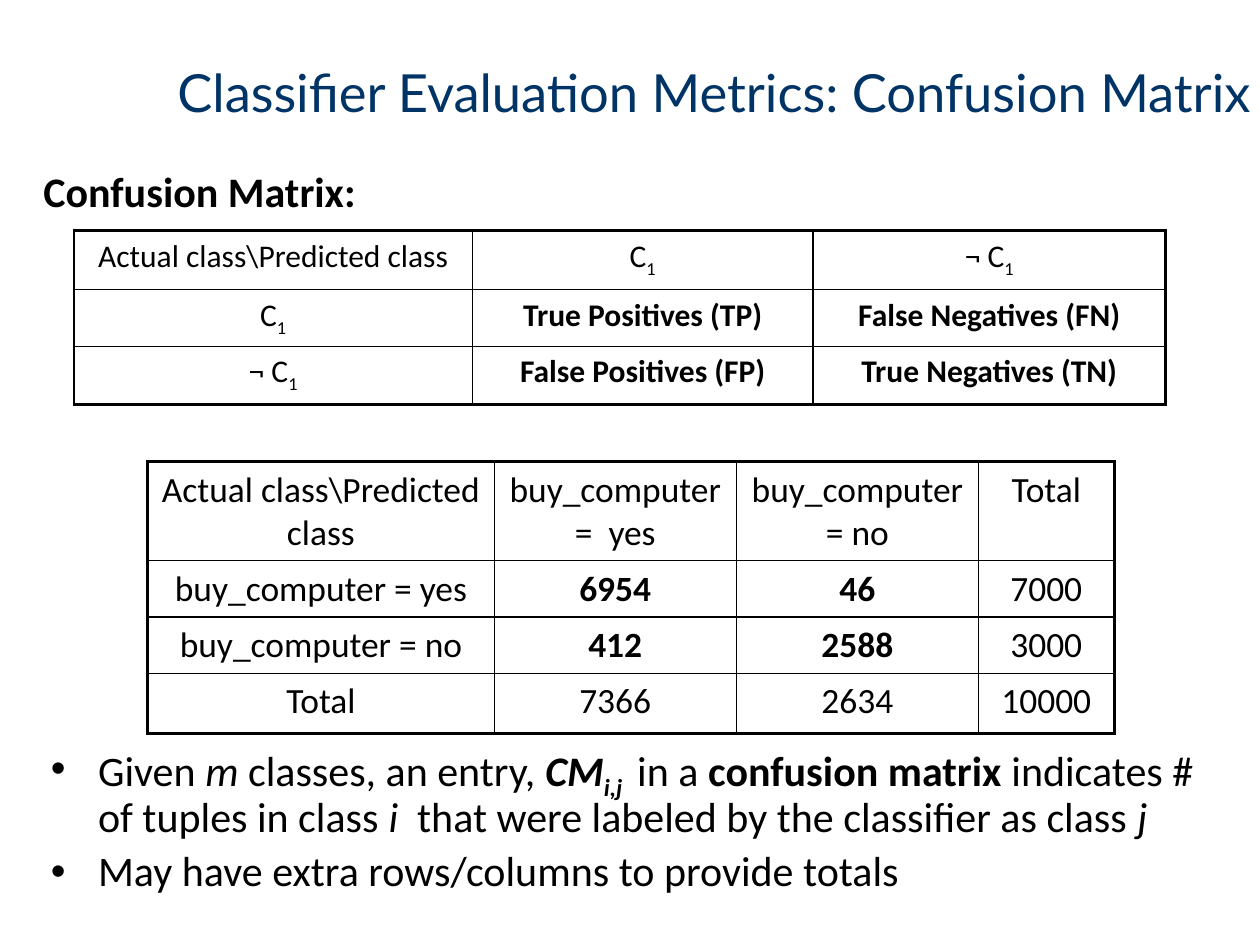
from lxml.etree import SubElement
from pptx import Presentation
from pptx.dml.color import RGBColor
from pptx.enum.text import MSO_ANCHOR, MSO_AUTO_SIZE, PP_ALIGN
from pptx.oxml.ns import qn
from pptx.util import Emu, Pt

BLACK, NAVY = "000000", "003366"
THICK, THIN = 2.25, 1


def px(count):
    """Turn pixels into EMU."""
    return Emu(count * 9525)


def color(code):
    """Turn a hex string into a colour."""
    return RGBColor.from_string(code)


def bold(text):
    """Make a list with one bold run."""
    return [(text, "b")]


class Deck:
    """Style and current slide."""

    font, head = "Calibri", "Lato"

    def __init__(self, deck):
        """Add a title and content slide."""
        self.slide = deck.slides.add_slide(deck.slide_layouts[1])

    def place(self, shape, left, top, width, height):
        """Move and size a shape."""
        shape.left, shape.top = px(left), px(top)
        shape.width, shape.height = px(width), px(height)

    def style(self, run, size, name, code, marks=""):
        """Format a run; marks are b bold, i italic, s subscript."""
        font = run.font
        font.size, font.name = Pt(size), name
        font.color.rgb = color(code)
        font.bold, font.italic = "b" in marks, "i" in marks
        if "s" in marks:
            run._r.get_or_add_rPr().set("baseline", "-25000")

    def fill(self, para, parts, size):
        """Fill a paragraph from a string or a list of marked runs."""
        if isinstance(parts, str):
            parts = [(parts, "")]
        for text, marks in parts:
            run = para.add_run()
            run.text = text
            self.style(run, size, self.font, BLACK, marks)

    def title(self, text, box, size):
        """Fill the title placeholder."""
        shape = self.slide.shapes.title
        self.place(shape, *box)
        frame = shape.text_frame
        frame.text = text
        frame.auto_size = MSO_AUTO_SIZE.NONE
        frame.vertical_anchor = MSO_ANCHOR.TOP
        para = frame.paragraphs[0]
        para.alignment = PP_ALIGN.RIGHT
        self.style(para.runs[0], size, self.head, NAVY)

    def bullets(self, items, box, size):
        """Fill the body placeholder with a list."""
        shape = self.slide.placeholders[1]
        self.place(shape, *box)
        frame = shape.text_frame
        frame.auto_size = MSO_AUTO_SIZE.NONE
        for at, parts in enumerate(items):
            para = frame.add_paragraph() if at else frame.paragraphs[0]
            para.line_spacing = 0.9
            props = para._p.get_or_add_pPr()
            props.set("marL", str(px(48)))
            props.set("indent", str(px(-48)))
            self.fill(para, parts, size)

    def label(self, parts, box, size):
        """Add a text box."""
        frame = self.slide.shapes.add_textbox(*map(px, box)).text_frame
        frame.word_wrap = True
        frame.margin_left = frame.margin_right = px(12)
        frame.margin_top = frame.margin_bottom = px(7)
        para = frame.paragraphs[0]
        para.line_spacing = 0.8
        self.fill(para, parts, size)

    def border(self, cell, side, width):
        """Draw one side of a cell."""
        props = cell._tc.get_or_add_tcPr()
        line = SubElement(props, qn("a:ln" + side), w=str(Pt(width)))
        paint = SubElement(line, qn("a:solidFill"))
        SubElement(paint, qn("a:srgbClr"), val=BLACK)

    def table(self, data, left, top, cols, rows, size):
        """Add a centred grid with a thick frame."""
        box = map(px, (left, top, sum(cols), sum(rows)))
        grid = self.slide.shapes.add_table(len(rows), len(cols), *box).table
        grid.first_row = grid.horz_banding = False
        for col, width in zip(grid.columns, cols):
            col.width = px(width)
        for row, height in zip(grid.rows, rows):
            row.height = px(height)
        for y, line in enumerate(data):
            for x, parts in enumerate(line):
                cell = grid.cell(y, x)
                cell.margin_left = cell.margin_right = px(12)
                cell.margin_top = cell.margin_bottom = px(7)
                edges = {"L": x == 0, "R": x == len(cols) - 1,
                         "T": y == 0, "B": y == len(rows) - 1}
                for side, outer in edges.items():
                    self.border(cell, side, THICK if outer else THIN)
                cell.fill.background()
                para = cell.text_frame.paragraphs[0]
                para.alignment = PP_ALIGN.CENTER
                self.fill(para, parts, size)


def main():
    """Build the slide."""
    show = Presentation()
    show.slide_width, show.slide_height = px(1280), px(960)
    deck = Deck(show)
    deck.title("Classifier Evaluation Metrics: Confusion Matrix",
               (0, 56, 1280, 105), 40)
    deck.label(bold("Confusion Matrix:"), (32, 171, 365, 56), 32)

    corner = "Actual class\\Predicted class"
    yes = [("C", ""), ("1", "s")]
    no = [("¬ C", ""), ("1", "s")]
    deck.table([
        [corner, yes, no],
        [yes, bold("True Positives (TP)"), bold("False Negatives (FN)")],
        [no, bold("False Positives (FP)"), bold("True Negatives (TN)")],
    ], 75, 234, (405, 346, 358), (60, 54, 59), 24)
    deck.table([
        [corner, "buy_computer =  yes", "buy_computer = no", "Total"],
        ["buy_computer = yes", bold("6954"), bold("46"), "7000"],
        ["buy_computer = no", bold("412"), bold("2588"), "3000"],
        ["Total", "7366", "2634", "10000"],
    ], 150, 469, (352, 246, 246, 138), (98, 56, 56, 61), 27)

    deck.bullets([
        [("Given", ""), (" m", "i"), (" classes, an entry, ", ""),
         ("CM", "bi"), ("i,j ", "bis"), (" in a ", ""),
         ("confusion matrix", "b"),
         (" indicates # of tuples in class ", ""), ("i", "i"),
         ("  that were labeled by the classifier as class ", ""),
         ("j", "i")],
        "May have extra rows/columns to provide totals",
    ], (42, 752, 1184, 176), 32)
    show.save("out.pptx")


if __name__ == "__main__":
    main()
